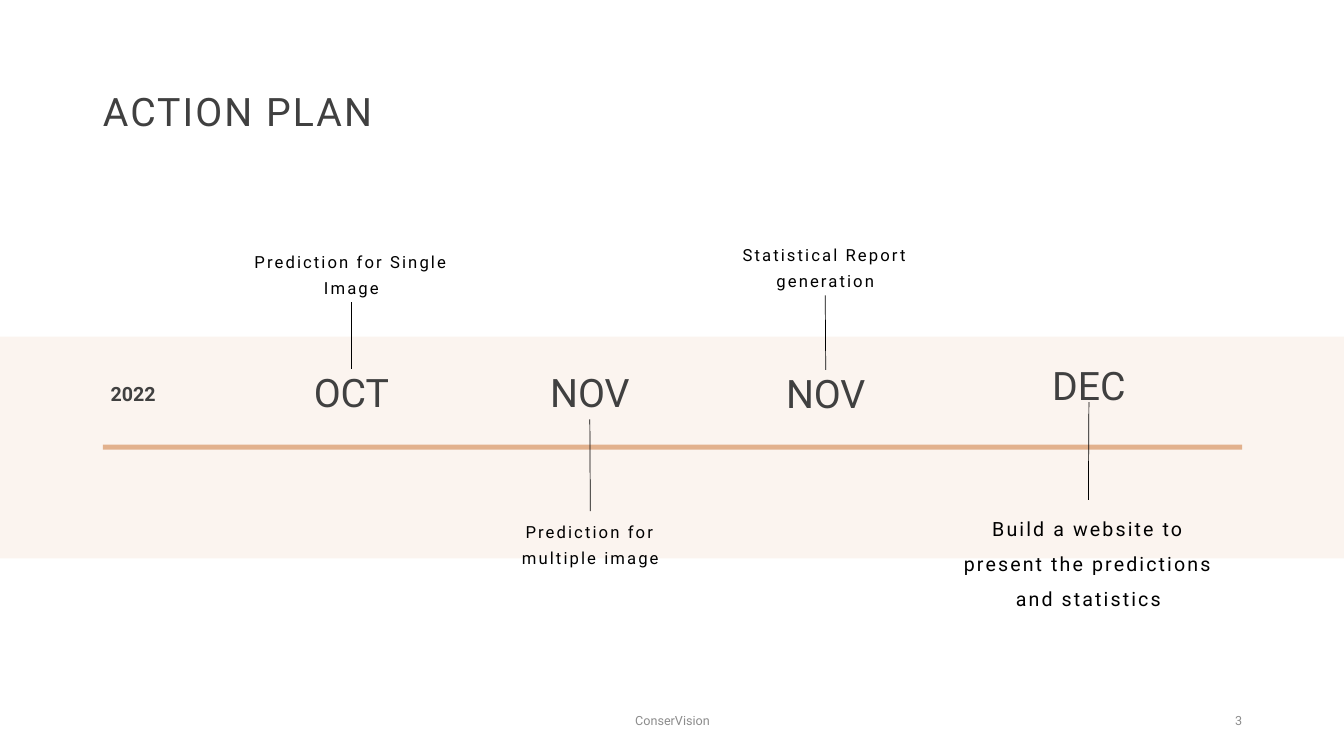
from dataclasses import dataclass

from lxml import etree
from pptx import Presentation
from pptx.dml.color import RGBColor
from pptx.enum.shapes import MSO_CONNECTOR, MSO_SHAPE
from pptx.enum.text import MSO_ANCHOR, MSO_AUTO_SIZE, PP_ALIGN
from pptx.oxml.ns import qn
from pptx.util import Inches, Pt

LEFT, CENTER, RIGHT = PP_ALIGN.LEFT, PP_ALIGN.CENTER, PP_ALIGN.RIGHT
TOP, MIDDLE, BOTTOM = MSO_ANCHOR.TOP, MSO_ANCHOR.MIDDLE, MSO_ANCHOR.BOTTOM
NO_AUTOFIT = MSO_AUTO_SIZE.NONE
RECT, STRAIGHT = MSO_SHAPE.RECTANGLE, MSO_CONNECTOR.STRAIGHT
TOP_SITE, BOTTOM_SITE = 0, 2

FONT = "Roboto"
COLORS = {
    "band": "FBF4EF",
    "axis": "E2B18D",
    "heading": "404040",
    "note": "000000",
    "footer": "8C8C8C",
}

Box = tuple[float, float, float, float]  # left, top, width, height in inches


@dataclass
class Style:
    size: float
    color: str
    align: PP_ALIGN = CENTER
    anchor: MSO_ANCHOR = TOP
    line_spacing: float = 1.0
    tracking: float = 0  # points
    bold: bool = False


@dataclass
class Milestone:
    month: str
    month_box: Box
    note: str
    note_box: Box
    note_style: Style
    note_above: bool


TITLE = Style(28, "heading", LEFT, MIDDLE, 0.9, 1.5)
YEAR = Style(14, "heading", LEFT, MIDDLE, 0.9, bold=True)
MONTH = Style(28, "heading", line_spacing=0.9)
NOTE = Style(11.9, "note", line_spacing=1.3, tracking=1.5)
NOTE_LOW = Style(11.9, "note", CENTER, BOTTOM, 1.3, 1.5)
NOTE_LARGE = Style(14, "note", line_spacing=1.5, tracking=1.5)
FOOTER = Style(9, "footer", CENTER, MIDDLE)
PAGE = Style(9, "footer", RIGHT, MIDDLE)

MILESTONES = [
    Milestone("OCT", (1.96, 3.66, 3.05, 0.58),
              "Prediction for Single Image", (2.36, 2.39, 2.25, 0.61), NOTE_LOW, True),
    Milestone("NOV", (4.68, 3.66, 2.34, 0.5),
              "Prediction for multiple image", (4.73, 5.07, 2.25, 0.61), NOTE, False),
    Milestone("NOV", (7.02, 3.67, 2.34, 0.5),
              "Statistical Report generation", (7.06, 2.32, 2.25, 0.61), NOTE, True),
    Milestone("DEC", (9.84, 3.59, 1.92, 0.4),
              "Build a website to present the predictions and statistics",
              (9.37, 4.96, 2.85, 1.45), NOTE_LARGE, False),
]


def rgb(name: str) -> RGBColor:
    return RGBColor.from_string(COLORS[name])


def write_text(sp, text: str, style: Style) -> None:
    tf = sp.text_frame
    tf.word_wrap = True
    tf.auto_size = NO_AUTOFIT
    tf.vertical_anchor = style.anchor
    p = tf.paragraphs[0]
    p.alignment = style.align
    p.line_spacing = style.line_spacing
    r = p.add_run()
    r.text = text
    r.font.name = FONT
    r.font.size = Pt(style.size)
    r.font.bold = style.bold
    r.font.color.rgb = rgb(style.color)
    if style.tracking:
        r.font._element.set("spc", str(round(style.tracking * 100)))


def add_text(s, box: Box, text: str, style: Style):
    sp = s.shapes.add_textbox(*map(Inches, box))
    write_text(sp, text, style)
    return sp


def add_bar(s, box: Box, color: str) -> None:
    sp = s.shapes.add_shape(RECT, *map(Inches, box))
    sp.shadow.inherit = False
    sp.fill.solid()
    sp.fill.fore_color.rgb = rgb(color)
    sp.line.fill.background()


def add_stem(s, upper, lower) -> None:
    """Join the bottom of the upper box to the top of the lower one."""
    line = s.shapes.add_connector(STRAIGHT, 0, 0, 0, 0)
    line.begin_connect(upper, BOTTOM_SITE)
    line.end_connect(lower, TOP_SITE)
    line.line.color.rgb = rgb("note")
    line.line.width = Pt(0.5)
    etree.SubElement(line._element.spPr, qn("a:effectLst"))


def add_milestone(s, m: Milestone) -> None:
    month = add_text(s, m.month_box, m.month, MONTH)
    note = add_text(s, m.note_box, m.note, m.note_style)
    upper, lower = (note, month) if m.note_above else (month, note)
    add_stem(s, upper, lower)


def main() -> None:
    prs = Presentation()
    prs.slide_width, prs.slide_height = Inches(13.33), Inches(7.5)
    s = prs.slides.add_slide(prs.slide_layouts.get_by_name("Title Only"))

    title = s.shapes.title
    title.left, title.top, title.width, title.height = map(Inches, (0.92, 0.4, 11.5, 1.45))
    write_text(title, "ACTION PLAN", TITLE)

    add_bar(s, (0, 3.34, 13.33, 2.2), "band")
    add_bar(s, (1.02, 4.41, 11.3, 0.05), "axis")
    add_text(s, (1, 3.67, 0.8, 0.5), "2022", YEAR)
    for m in MILESTONES:
        add_milestone(s, m)

    add_text(s, (4.42, 6.95, 4.5, 0.4), "ConserVision", FOOTER)
    add_text(s, (9.42, 6.95, 3, 0.4), "3", PAGE)
    prs.save("out.pptx")


if __name__ == "__main__":
    main()
